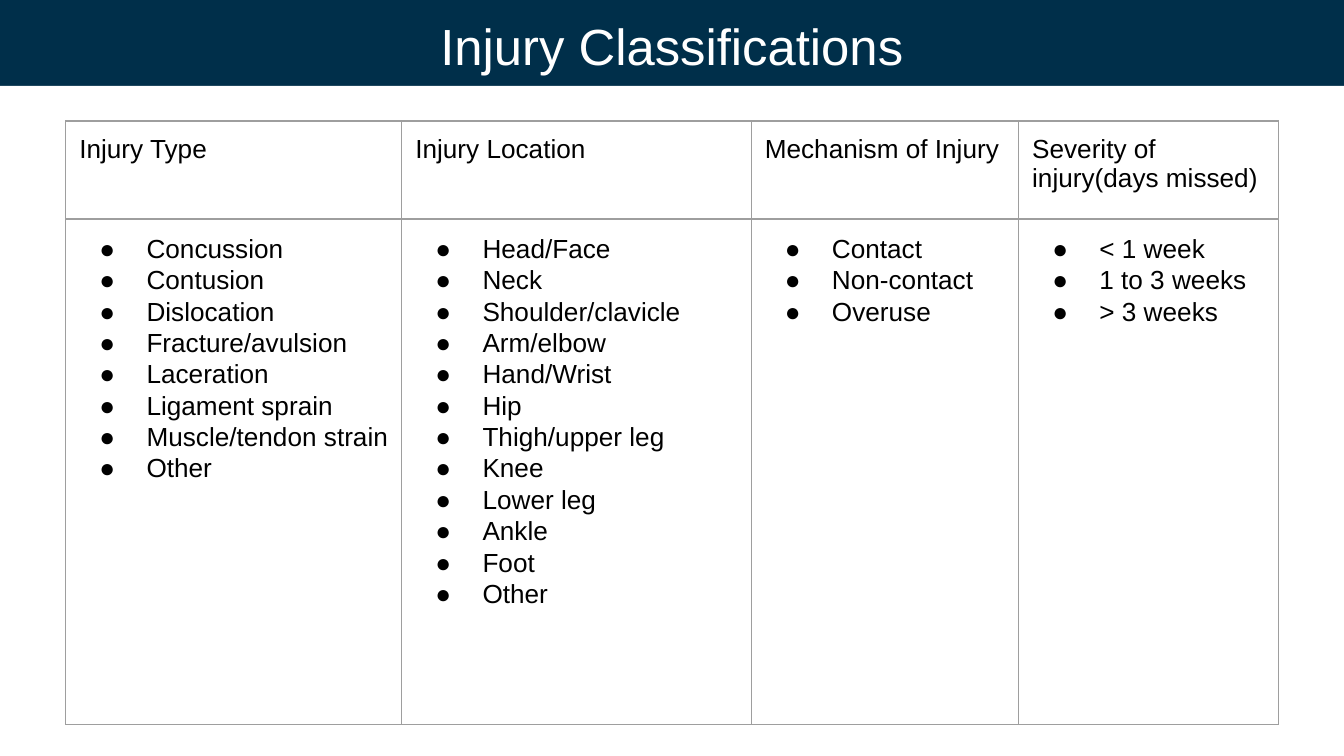
from lxml import etree
from pptx import Presentation
from pptx import util as u
from pptx.dml.color import RGBColor
from pptx.enum import shapes, text
from pptx.oxml import ns

TITLE = "Injury Classifications"
CLASSIFICATIONS = [
    ("Injury Type", 2.5,
     ["Concussion", "Contusion", "Dislocation", "Fracture/avulsion",
      "Laceration", "Ligament sprain", "Muscle/tendon strain", "Other"]),
    ("Injury Location", 2.6,
     ["Head/Face", "Neck", "Shoulder/clavicle", "Arm/elbow", "Hand/Wrist",
      "Hip", "Thigh/upper leg", "Knee", "Lower leg", "Ankle", "Foot", "Other"]),
    ("Mechanism of Injury", 1.99,
     ["Contact", "Non-contact", "Overuse"]),
    ("Severity of injury(days missed)", 1.93,
     ["< 1 week", "1 to 3 weeks", "> 3 weeks"]),
]
COLORS = {"banner": "002F4A", "paper": "FFFFFF", "ink": "000000", "border": "9E9E9E"}
FONT = "Arial"
WIDTH = 10
HEIGHT = WIDTH * 9 / 16
ROW_HEIGHTS = [0.73, 3.76]
TABLE_LEFT, TABLE_TOP = 0.49, 0.9
INSET = u.Inches(0.1)


def color(name):
    return RGBColor.from_string(COLORS[name])


def add_band(slide, top, height, fill):
    band = slide.shapes.add_shape(shapes.MSO_SHAPE.RECTANGLE, 0, u.Inches(top),
                                  u.Inches(WIDTH), u.Inches(height))
    band.shadow.inherit = False
    band.fill.solid()
    band.fill.fore_color.rgb = color(fill)
    band.line.fill.background()


def style_runs(paragraph, size, ink):
    for run in paragraph.runs:
        run.font.name = FONT
        run.font.size = u.Pt(size)
        run.font.bold = False
        run.font.color.rgb = color(ink)


def add_color(parent, name):
    etree.SubElement(parent, ns.qn("a:srgbClr"), val=COLORS[name])


def add_bullet(paragraph):
    paragraph.line_spacing = 1.07
    properties = paragraph._p.get_or_add_pPr()
    properties.set("marL", str(u.Inches(0.5)))
    properties.set("indent", str(u.Inches(-0.35)))
    add_color(etree.SubElement(properties, ns.qn("a:buClr")), "ink")
    etree.SubElement(properties, ns.qn("a:buFont"), typeface=FONT)
    etree.SubElement(properties, ns.qn("a:buChar"), char="●")


def add_borders(cell):
    properties = cell._tc.get_or_add_tcPr()
    for position, side in enumerate(("lnL", "lnR", "lnT", "lnB")):
        line = etree.Element(ns.qn(f"a:{side}"), w=str(u.Pt(0.75)))
        add_color(etree.SubElement(line, ns.qn("a:solidFill")), "border")
        properties.insert(position, line)


def fill_cell(cell, lines, bulleted):
    cell.fill.background()
    cell.margin_left = cell.margin_right = INSET
    cell.margin_top = cell.margin_bottom = INSET
    add_borders(cell)
    cell.text_frame.text = "\n".join(lines)
    for paragraph in cell.text_frame.paragraphs:
        style_runs(paragraph, 14, "ink")
        if bulleted:
            add_bullet(paragraph)


def add_title(slide):
    title = slide.shapes.title
    title.left, title.top = u.Inches(0.34), 0
    title.width, title.height = u.Inches(WIDTH - 2 * 0.34), u.Inches(0.68)
    frame = title.text_frame
    frame.text = TITLE
    frame.word_wrap = True
    frame.auto_size = text.MSO_AUTO_SIZE.NONE
    frame.vertical_anchor = text.MSO_ANCHOR.MIDDLE
    frame.margin_left = frame.margin_right = INSET
    frame.margin_top = frame.margin_bottom = INSET
    frame.paragraphs[0].alignment = text.PP_ALIGN.CENTER
    style_runs(frame.paragraphs[0], 27.2, "paper")
    slide.shapes._spTree.append(title._element)  # bring in front of the banner


def add_classification_table(slide):
    widths = [width for _, width, _ in CLASSIFICATIONS]
    table = slide.shapes.add_table(
        len(ROW_HEIGHTS), len(widths), u.Inches(TABLE_LEFT), u.Inches(TABLE_TOP),
        u.Inches(sum(widths)), u.Inches(sum(ROW_HEIGHTS))).table
    table.first_row = table.horz_banding = False
    for row, height in zip(table.rows, ROW_HEIGHTS):
        row.height = u.Inches(height)
    for column, (heading, width, items) in enumerate(CLASSIFICATIONS):
        table.columns[column].width = u.Inches(width)
        fill_cell(table.cell(0, column), [heading], bulleted=False)
        fill_cell(table.cell(1, column), items, bulleted=True)


def main():
    presentation = Presentation()
    presentation.slide_width = u.Inches(WIDTH)
    presentation.slide_height = u.Inches(HEIGHT)
    slide = presentation.slides.add_slide(presentation.slide_layouts[5])
    add_band(slide, 0, 1.02, "banner")
    add_title(slide)
    add_band(slide, 0.64, 0.5, "paper")
    add_classification_table(slide)
    presentation.save("out.pptx")


if __name__ == "__main__":
    main()
